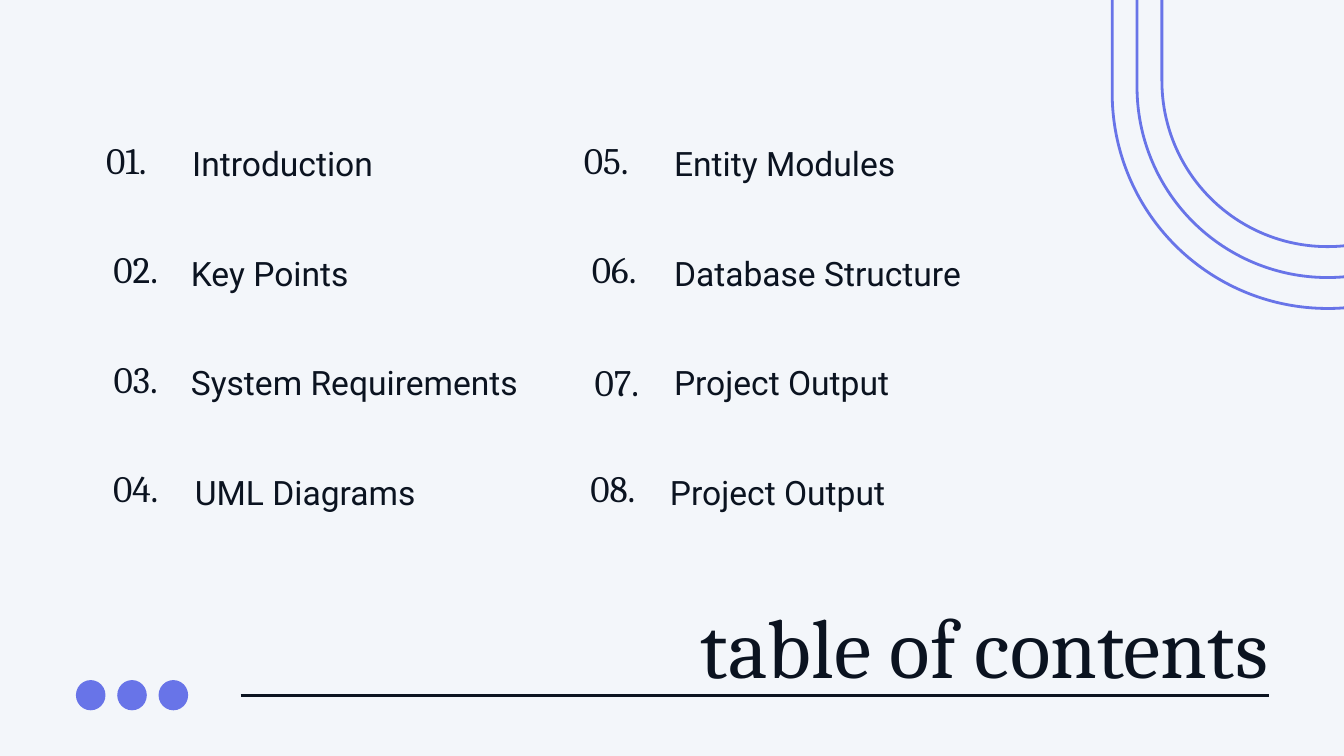
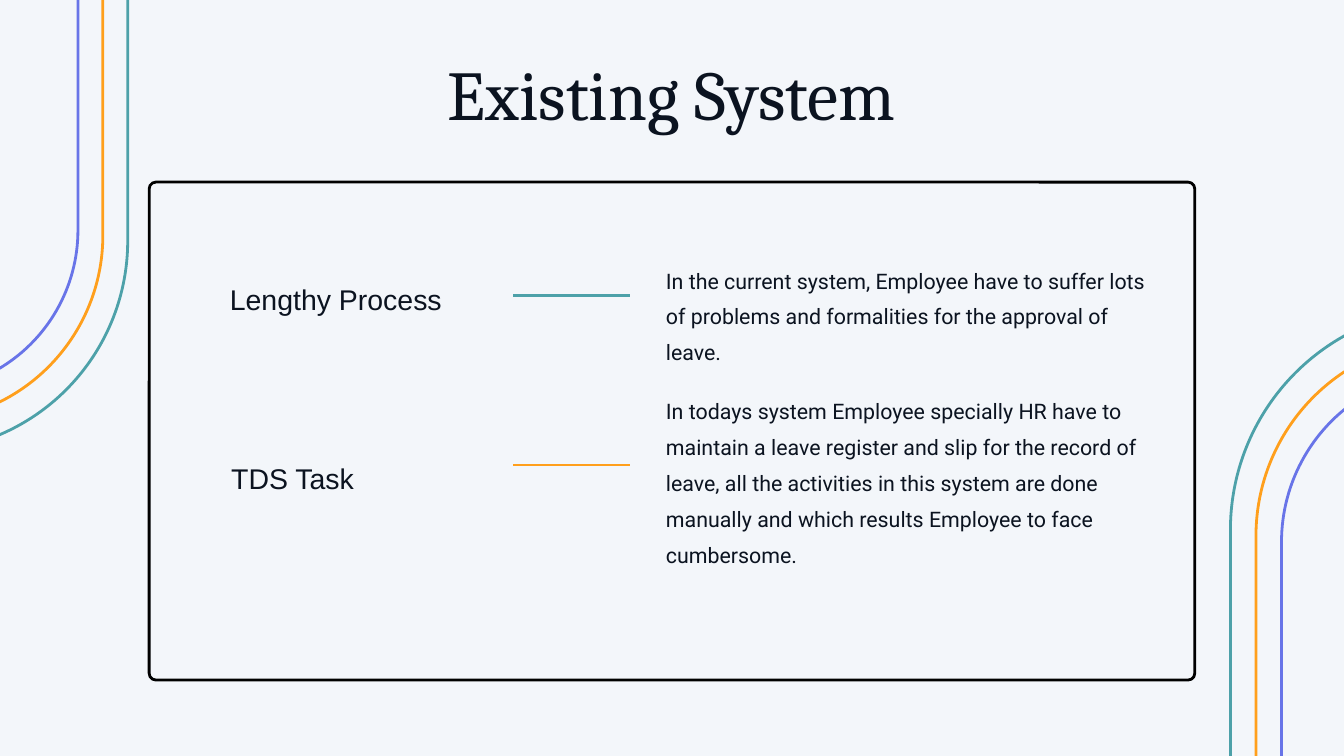
"""Build the contents slide and the existing-system slide of a project deck."""
from dataclasses import dataclass

from lxml.etree import SubElement
from pptx import Presentation
from pptx.dml.color import RGBColor
from pptx.enum.shapes import MSO_CONNECTOR, MSO_SHAPE
from pptx.enum.text import MSO_ANCHOR, MSO_AUTO_SIZE, PP_ALIGN
from pptx.oxml.ns import qn
from pptx.util import Inches, Pt


@dataclass(frozen=True)
class Theme:
    paper: str = "F3F6FA"
    ink: str = "0B1320"
    frame: str = "000000"
    violet: str = "6874E8"
    orange: str = "FF9F1C"
    teal: str = "4DA1A9"
    serif: str = "Cambria"
    sans: str = "Roboto"
    topic_font: str = "Arial"
    contents_title: float = 90
    system_title: float = 75
    number: float = 40
    entry: float = 36
    topic: float = 30.5
    body: float = 22.9
    stroke: float = 3


THEME = Theme()

CONTENTS_TITLE = "table of contents"
# Each entry: label, centre of its number, left of its label, drop of its number.
CONTENTS = [
    [
        ("Introduction", 1.88, 2.86, 0),
        ("Key Points", 2.02, 2.84, 0),
        ("System Requirements", 2.02, 2.84, 0),
        ("UML Diagrams", 2.02, 2.9, 0),
    ],
    [
        ("Entity Modules", 9.02, 10.03, 0),
        ("Database Structure", 9.14, 10.03, 0),
        ("Project Output", 9.18, 10.03, 0.05),
        ("Project Output", 9.12, 9.97, 0),
    ],
]
FIRST_ROW, ROW_PITCH = 1.77, 1.63
NUMBER_WIDTH, LABEL_DROP = 1.5, 0.24

SYSTEM_TITLE = "Existing System"
# Each topic: heading, its left and top, rule height and colour, text top and height, text.
TOPICS = [
    ("Lengthy Process", 3.42, 4.09, 4.4, THEME.teal, 3.83, 1.62,
     "In the current system, Employee have to suffer lots of problems and "
     "formalities for the approval of leave."),
    ("TDS Task", 3.44, 6.76, 6.92, THEME.orange, 5.77, 2.69,
     "In todays system Employee specially HR have to maintain a leave register "
     "and slip for the record of leave, all the activities in this system are "
     "done manually and which results Employee to face cumbersome."),
]


def color(value):
    """Return a colour from its hex value."""
    return RGBColor.from_string(value)


def write(box, text, size, font, spacing, align=PP_ALIGN.LEFT):
    """Fill a text box or placeholder with one styled paragraph."""
    frame = box.text_frame
    frame.margin_left = frame.margin_right = frame.margin_top = frame.margin_bottom = 0
    frame.word_wrap = True
    frame.auto_size = MSO_AUTO_SIZE.SHAPE_TO_FIT_TEXT
    frame.vertical_anchor = MSO_ANCHOR.TOP
    para = frame.paragraphs[0]
    para.text = text
    para.alignment = align
    para.line_spacing = spacing
    para.font.size = Pt(size)
    para.font.name = font
    para.font.color.rgb = color(THEME.ink)


def add_text(page, bounds, *style):
    """Add a text box with one paragraph."""
    write(page.shapes.add_textbox(*map(Inches, bounds)), *style)


def add_page(deck, title, bounds, size, align):
    """Add a title-only slide with the shared background and title style."""
    page = deck.slides.add_slide(deck.slide_layouts[5])
    page.background.fill.solid()
    page.background.fill.fore_color.rgb = color(THEME.paper)
    box = page.shapes.title
    box.left, box.top, box.width, box.height = map(Inches, bounds)
    write(box, title, size, THEME.serif, 1.2, align)
    return page


def add_rule(page, left, right, height, tint):
    """Draw a horizontal line."""
    rule = page.shapes.add_connector(
        MSO_CONNECTOR.STRAIGHT, *map(Inches, (left, height, right, height)))
    rule.line.color.rgb = color(tint)
    rule.line.width = Pt(THEME.stroke)
    SubElement(rule._element.spPr, qn("a:effectLst"))


def add_outline(page, preset, bounds, tint, adjustments):
    """Draw an unfilled preset shape."""
    shape = page.shapes.add_shape(preset, *map(Inches, bounds))
    for index, value in enumerate(adjustments):
        shape.adjustments[index] = value
    shape.shadow.inherit = False
    shape.fill.background()
    shape.line.color.rgb = color(tint)
    shape.line.width = Pt(THEME.stroke)
    return shape


def add_arches(page, bounds, inset, tints, rotation=0):
    """Draw nested arches, each inset from the one before."""
    left, top, width, height = bounds
    across, down = inset
    for ring, tint in enumerate(tints):
        ring_bounds = (left + ring * across, top + ring * down,
                       width - 2 * ring * across, height - 2 * ring * down)
        arch = add_outline(
            page, MSO_SHAPE.ROUND_2_SAME_RECTANGLE, ring_bounds, tint, (0.5, 0))
        arch.rotation = rotation


def add_dots(page):
    """Draw the row of three dots beside the title rule."""
    for index in range(3):
        dot = page.shapes.add_shape(
            MSO_SHAPE.OVAL,
            *map(Inches, (1.13 + index * 0.615, 10.12, 0.44, 0.45)))
        dot.shadow.inherit = False
        dot.fill.solid()
        dot.fill.fore_color.rgb = color(THEME.violet)
        dot.line.fill.background()


def build_contents(deck):
    """Build the table of contents."""
    page = add_page(deck, CONTENTS_TITLE, (7.81, 8.55, 11.06, 1.82),
                    THEME.contents_title, PP_ALIGN.RIGHT)
    number = 0
    for column in CONTENTS:
        for row, (label, centre, left, drop) in enumerate(column):
            number += 1
            top = FIRST_ROW + row * ROW_PITCH
            add_text(page, (centre - NUMBER_WIDTH / 2, top + drop, NUMBER_WIDTH, 0.94),
                     f"{number:02}.", THEME.number, THEME.serif, 1.4, PP_ALIGN.CENTER)
            add_text(page, (left, top + LABEL_DROP, 5.39, 0.73),
                     label, THEME.entry, THEME.sans, 1.2)
    add_rule(page, 3.58, 18.88, 10.35, THEME.ink)
    add_dots(page)
    add_arches(page, (16.55, -3.3, 6.41, 7.89), (0.37, 0.46), [THEME.violet] * 3, 180)


def build_system(deck):
    """Build the framed list of problems in the existing system."""
    page = add_page(deck, SYSTEM_TITLE, (1.12, 0.5, 17.75, 1.51),
                    THEME.system_title, PP_ALIGN.CENTER)
    add_outline(page, MSO_SHAPE.ROUNDED_RECTANGLE, (2.22, 2.71, 15.56, 7.41),
                THEME.frame, (0.1 / 7.41,))
    for heading, left, top, rule, tint, text_top, text_height, text in TOPICS:
        add_text(page, (left, top, 4.2, 0.62), heading, THEME.topic, THEME.topic_font, 1.2)
        add_text(page, (9.91, text_top, 7.44, text_height), text, THEME.body, THEME.sans, 1.4)
        add_rule(page, 7.64, 9.38, rule, tint)
    tints = [THEME.teal, THEME.orange, THEME.violet]
    add_arches(page, (18.31, 4.58, 6.61, 8.14), (0.38, 0.47), tints)
    add_arches(page, (-4.37, -1, 6.27, 7.72), (0.37, 0.45), tints, 180)


def main():
    """Build and save the deck."""
    deck = Presentation()
    deck.slide_width, deck.slide_height = Inches(20), Inches(11.25)
    build_contents(deck)
    build_system(deck)
    deck.save("out.pptx")


if __name__ == "__main__":
    main()
